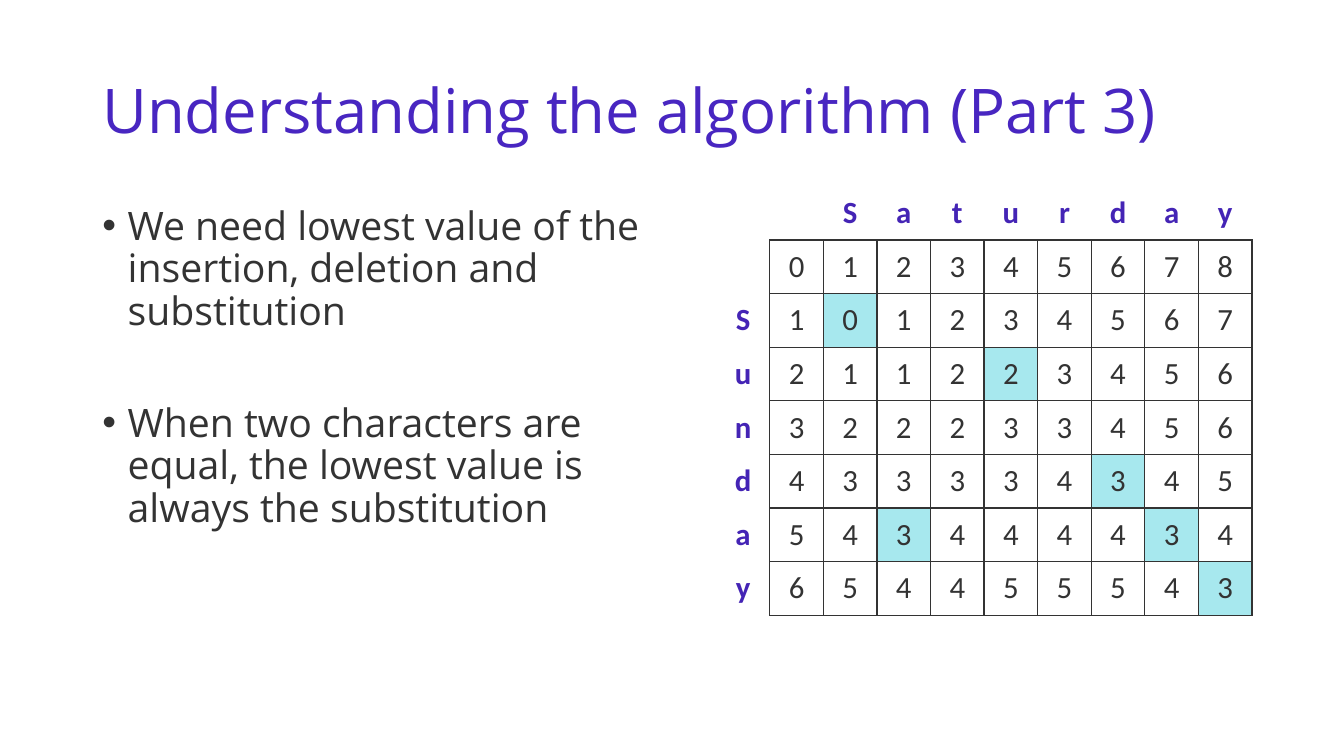
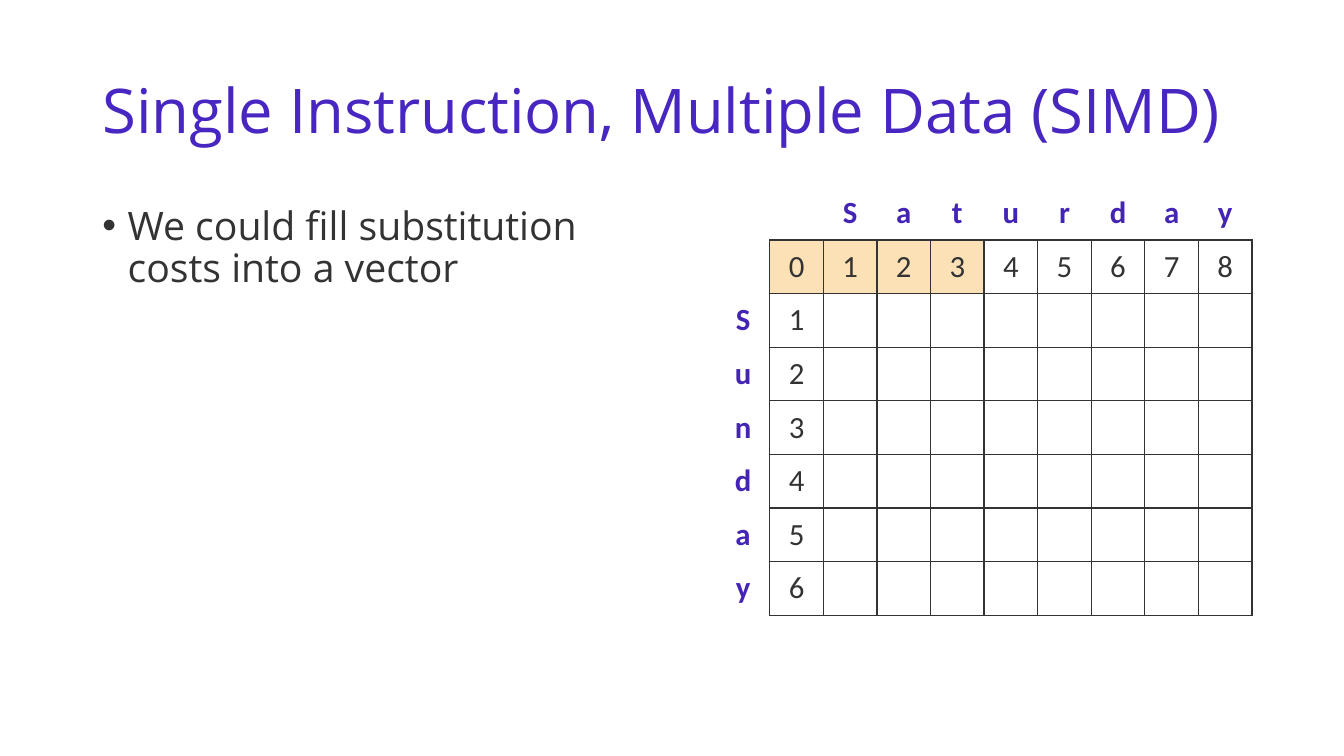
from dataclasses import dataclass

from lxml.etree import SubElement
from pptx import Presentation
from pptx.dml.color import RGBColor
from pptx.enum.text import MSO_ANCHOR, PP_ALIGN
from pptx.oxml.ns import qn
from pptx.util import Cm, Pt


@dataclass(frozen=True)
class Theme:
    title: str = "4826C1"
    label: str = "4424B5"
    ink: str = "333333"
    paper: str = "FFFFFF"
    match: str = "A7E8EE"
    vector: str = "FCE1B6"
    text_font: str = "Open Sans"
    table_font: str = "Calibri"
    title_size: int = 44
    body_size: int = 28
    table_size: int = 22
    border: int = 1


THEME = Theme()
TARGET = "Saturday"
SOURCE = "Sunday"
MATCHES = {
    (row, column)
    for row, left in enumerate(SOURCE, 1)
    for column, top in enumerate(TARGET, 1)
    if left == top
}
SLIDES = [
    {
        "title": "Understanding the algorithm (Part 3)",
        "bullets": [
            "We need lowest value of the insertion, deletion and substitution",
            "When two characters are equal, the lowest value is always the substitution",
        ],
        "body_width": 14.6,
        "costs": [
            "012345678",
            "101234567",
            "211223456",
            "322233456",
            "433334345",
            "543444434",
            "654455543",
        ],
        "marked": MATCHES,
        "mark": THEME.match,
    },
    {
        "title": "Single Instruction, Multiple Data (SIMD)",
        "bullets": ["We could fill substitution costs into a vector"],
        "body_width": 13.49,
        "costs": ["012345678", "1", "2", "3", "4", "5", "6"],
        "marked": {(0, column) for column in range(4)},
        "mark": THEME.vector,
    },
]
LEFT = 2.33
TABLE_LEFT, TABLE_TOP, CELL = 18.05, 4.7, 1.35
BULLET_INDENT = 0.64
BULLET_GAP = 50


def write(para, text, *, size, color, font=THEME.text_font, bold=False,
          align=PP_ALIGN.LEFT, spacing=None, before=0, bullet=False):
    if bullet:
        properties = para._p.get_or_add_pPr()
        properties.set("marL", str(Cm(BULLET_INDENT)))
        properties.set("indent", str(-Cm(BULLET_INDENT)))
        SubElement(properties, qn("a:buFont")).set("typeface", "Arial")
        SubElement(properties, qn("a:buChar")).set("char", "•")
    para.alignment = align
    para.space_before = Pt(before)
    if spacing:
        para.line_spacing = spacing
    span = para.add_run()
    span.text = text
    span.font.name = font
    span.font.size = Pt(size)
    span.font.bold = bold
    span.font.color.rgb = RGBColor.from_string(color)


def add_box(page, top, width, height, anchor=MSO_ANCHOR.TOP):
    box = page.shapes.add_textbox(Cm(LEFT), Cm(top), Cm(width), Cm(height))
    box.text_frame.word_wrap = True
    box.text_frame.vertical_anchor = anchor
    return box.text_frame


def add_title(page, text):
    frame = add_box(page, 1.02, 29.21, 3.68, MSO_ANCHOR.MIDDLE)
    write(frame.paragraphs[0], text, size=THEME.title_size,
          color=THEME.title, spacing=0.9)


def add_bullets(page, bullets, width):
    frame = add_box(page, 5.08, width, 12.1)
    for index, text in enumerate(bullets):
        para = frame.add_paragraph() if index else frame.paragraphs[0]
        write(para, text, size=THEME.body_size, color=THEME.ink, spacing=0.9,
              before=BULLET_GAP if index else 0, bullet=True)


def set_borders(cell, row, column):
    inside = row > 0 and column > 0
    drawn = {
        "L": inside,
        "R": inside or row > 0,
        "T": inside,
        "B": inside or column > 0,
    }
    properties = cell._tc.get_or_add_tcPr()
    for side, visible in drawn.items():
        line = SubElement(properties, qn(f"a:ln{side}"))
        if visible:
            line.set("w", str(Pt(THEME.border)))
            fill = SubElement(line, qn("a:solidFill"))
            SubElement(fill, qn("a:srgbClr")).set("val", THEME.ink)
        else:
            SubElement(line, qn("a:noFill"))


def add_cost_table(page, costs, marked, mark):
    width = len(TARGET) + 2
    grid = [["", "", *TARGET]]
    for label, values in zip(["", *SOURCE], costs):
        grid.append([label, *values.ljust(width - 1)])
    frame = page.shapes.add_table(
        len(grid), width, Cm(TABLE_LEFT), Cm(TABLE_TOP),
        Cm(CELL * width), Cm(CELL * len(grid)))
    table = frame.table
    table.first_row = table.horz_banding = False
    for line in (*table.rows,):
        line.height = Cm(CELL)
    for line in table.columns:
        line.width = Cm(CELL)
    for row, texts in enumerate(grid):
        for column, text in enumerate(texts):
            cell = table.cell(row, column)
            set_borders(cell, row, column)
            color = mark if (row - 1, column - 1) in marked else THEME.paper
            cell.fill.solid()
            cell.fill.fore_color.rgb = RGBColor.from_string(color)
            cell.margin_left = cell.margin_right = Cm(0.3)
            cell.margin_top = cell.margin_bottom = Cm(0.15)
            cell.vertical_anchor = MSO_ANCHOR.MIDDLE
            if text.strip():
                label = row == 0 or column == 0
                write(cell.text_frame.paragraphs[0], text,
                      size=THEME.table_size, font=THEME.table_font,
                      color=THEME.label if label else THEME.ink,
                      bold=label, align=PP_ALIGN.CENTER)


def main():
    deck = Presentation()
    deck.slide_width, deck.slide_height = Cm(33.87), Cm(19.05)
    for content in SLIDES:
        page = deck.slides.add_slide(deck.slide_layouts[6])
        add_title(page, content["title"])
        add_bullets(page, content["bullets"], content["body_width"])
        add_cost_table(page, content["costs"], content["marked"], content["mark"])
    deck.save("out.pptx")


if __name__ == "__main__":
    main()
